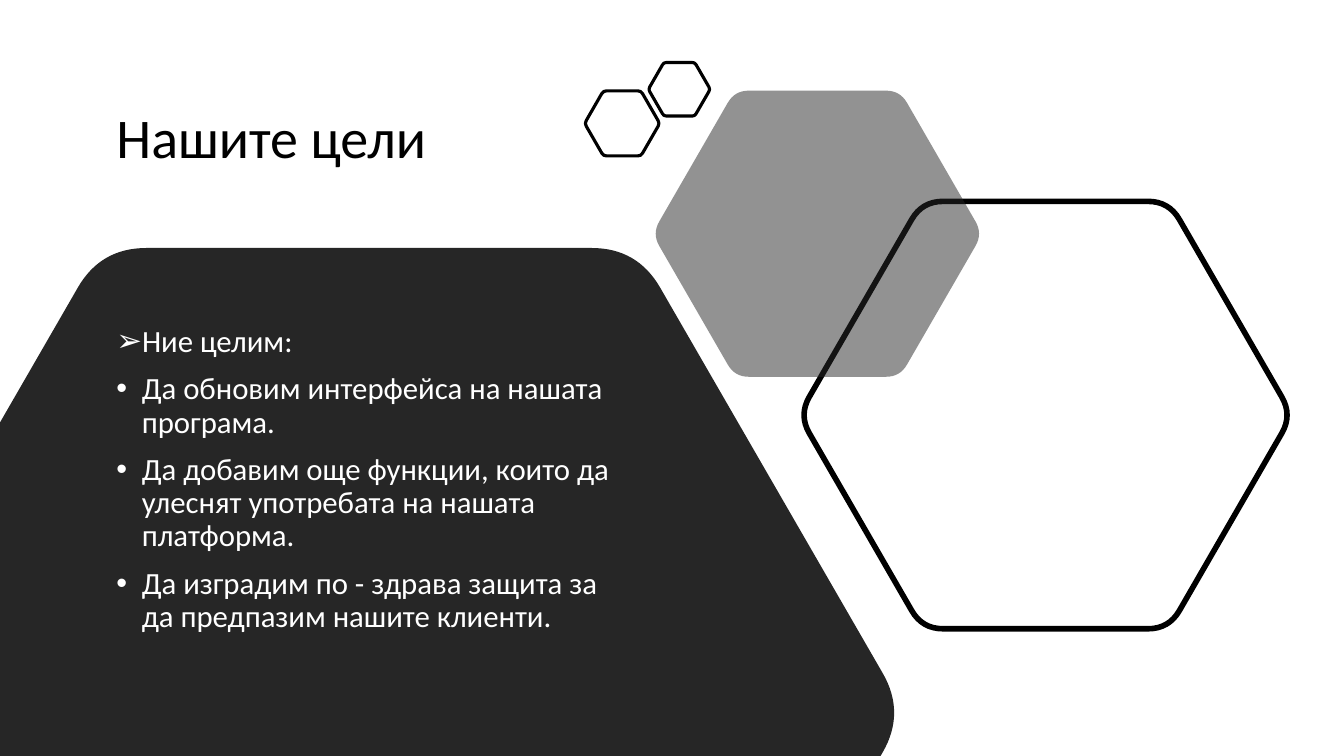
from math import cos, pi, sin, sqrt

from lxml import etree
from pptx import Presentation
from pptx.dml.color import RGBColor
from pptx.enum.text import MSO_ANCHOR, MSO_AUTO_SIZE, PP_ALIGN
from pptx.oxml.ns import qn
from pptx.util import Cm, Pt

BLACK = RGBColor(0x00, 0x00, 0x00)
CHARCOAL = RGBColor(0x26, 0x26, 0x26)
WHITE = RGBColor(0xFF, 0xFF, 0xFF)
LEFT, MIDDLE, TOP = PP_ALIGN.LEFT, MSO_ANCHOR.MIDDLE, MSO_ANCHOR.TOP
FONT = "Calibri"

# Content
TITLE = "Нашите цели"
GOALS = [
    ("➢", "Ние целим:"),
    ("•", "Да обновим интерфейса на нашата програма."),
    ("•", "Да добавим още функции, които да улеснят употребата на нашата платформа."),
    ("•", "Да изградим по - здрава защита за да предпазим нашите клиенти."),
]

# Hexagons, back to front: centre x, centre y, height (cm), opacity %, line (pt)
HEXAGONS = [
    (9.3, 17.96, 23.42, 100, None),  # dark text panel
    (26.35, 10.46, 10.77, None, 4),
    (20.6, 5.89, 7.21, 50, None),
    (15.68, 3.11, 1.64, None, 2.25),
    (17.12, 2.25, 1.35, None, 2.25),
]
PAGE_WIDTH, PAGE_HEIGHT = 33.87, 19.05
CORNER_SHARE = 0.085  # part of each side that a rounded corner takes


def between(start, end, share):
    return tuple(a + (b - a) * share for a, b in zip(start, end))


def rounded_corners(x, y, height):
    """Start, middle and end of each rounded corner of a flat-topped hexagon."""
    radius = height / sqrt(3)
    corners = [(x + radius * cos(i * pi / 3), y + radius * sin(i * pi / 3))
               for i in range(6)]
    rounded = []
    for i, corner in enumerate(corners):
        start = between(corner, corners[i - 1], CORNER_SHARE)
        end = between(corner, corners[(i + 1) % 6], CORNER_SHARE)
        middle = between(between(start, end, 0.5), corner, 0.5)
        rounded.append((start, middle, end))
    return rounded


def clip(points, axis, limit, sign):
    """Keep the part of the outline where sign * (coordinate - limit) >= 0."""
    kept = []
    for i, point in enumerate(points):
        before = points[i - 1]
        inside, was_inside = (sign * (p[axis] - limit) >= 0 for p in (point, before))
        if inside != was_inside:
            share = (limit - before[axis]) / (point[axis] - before[axis])
            kept.append(between(before, point, share))
        if inside:
            kept.append(point)
    return kept


def curve_corner(start, middle, end):
    """Turn the two lines of a corner into one quadratic curve."""
    a, b, c = (node[0] for node in (start, middle, end))
    end.tag = qn("a:quadBezTo")
    control = etree.Element(qn("a:pt"))
    for axis in ("x", "y"):
        value = 2 * int(b.get(axis)) - (int(a.get(axis)) + int(c.get(axis))) / 2
        control.set(axis, str(round(value)))
    end.insert(0, control)
    middle.getparent().remove(middle)


def add_hexagon(page, x, y, height, opacity, line_width):
    corners = rounded_corners(x, y, height)
    outline = [point for corner in corners for point in corner]
    outline = clip(clip(outline, 0, 0, 1), 1, PAGE_HEIGHT, -1)
    points = [(Cm(a), Cm(b)) for a, b in outline]
    builder = page.shapes.build_freeform(*points[0])
    builder.add_line_segments(points[1:], close=True)
    shape = builder.convert_to_shape()
    nodes = list(next(shape._element.iter(qn("a:path"))))
    for start, middle, end in corners:
        if middle in outline:
            i = outline.index(middle)
            # Control points follow from the nodes before the tags change
            first = [nodes[i - 1][-1]]
            curve_corner(first, nodes[i], nodes[i + 1])
    shape.shadow.inherit = False
    if opacity is None:
        shape.fill.background()
    else:
        shape.fill.solid()
        shape.fill.fore_color.rgb = CHARCOAL
        if opacity < 100:
            color = shape.fill._xPr.find(".//" + qn("a:srgbClr"))
            etree.SubElement(color, qn("a:alpha"), val=str(opacity * 1000))
    if line_width is None:
        shape.line.fill.background()
    else:
        shape.line.color.rgb = BLACK
        shape.line.width = Pt(line_width)


def place(box, left, top, width, height, anchor):
    box.left, box.top, box.width, box.height = map(Cm, (left, top, width, height))
    frame = box.text_frame
    frame.word_wrap = True
    frame.auto_size = MSO_AUTO_SIZE.NONE
    frame.vertical_anchor = anchor
    return frame


def write(para, text, size, color):
    para.text = text
    para.alignment = LEFT
    para.line_spacing = 0.9
    para.font.name = FONT
    para.font.size = Pt(size)
    para.font.color.rgb = color


deck = Presentation()
deck.slide_width, deck.slide_height = Cm(PAGE_WIDTH), Cm(PAGE_HEIGHT)
page = deck.slides.add_slide(deck.slide_layouts[1])

# Title
title_frame = place(page.shapes.title, 2.68, 1.24, 11.89, 4.57, MIDDLE)
write(title_frame.paragraphs[0], TITLE, 40, BLACK)

# Hexagons
for hexagon in HEXAGONS:
    add_hexagon(page, *hexagon)

# Goals, in front of the dark panel
body = page.placeholders[1]
page.shapes._spTree.append(body._element)
frame = place(body, 2.68, 8.09, 13.18, 8.59, TOP)
for i, (bullet, text) in enumerate(GOALS):
    para = frame.add_paragraph() if i else frame.paragraphs[0]
    write(para, text, 22, WHITE)
    para.space_before = Pt(10)
    properties = para._p.get_or_add_pPr()
    properties.set("marL", str(Cm(0.64)))
    properties.set("indent", str(Cm(-0.64)))
    mark = etree.Element(qn("a:buChar"), char=bullet)
    properties.find(qn("a:spcBef")).addnext(mark)

deck.save("out.pptx")
